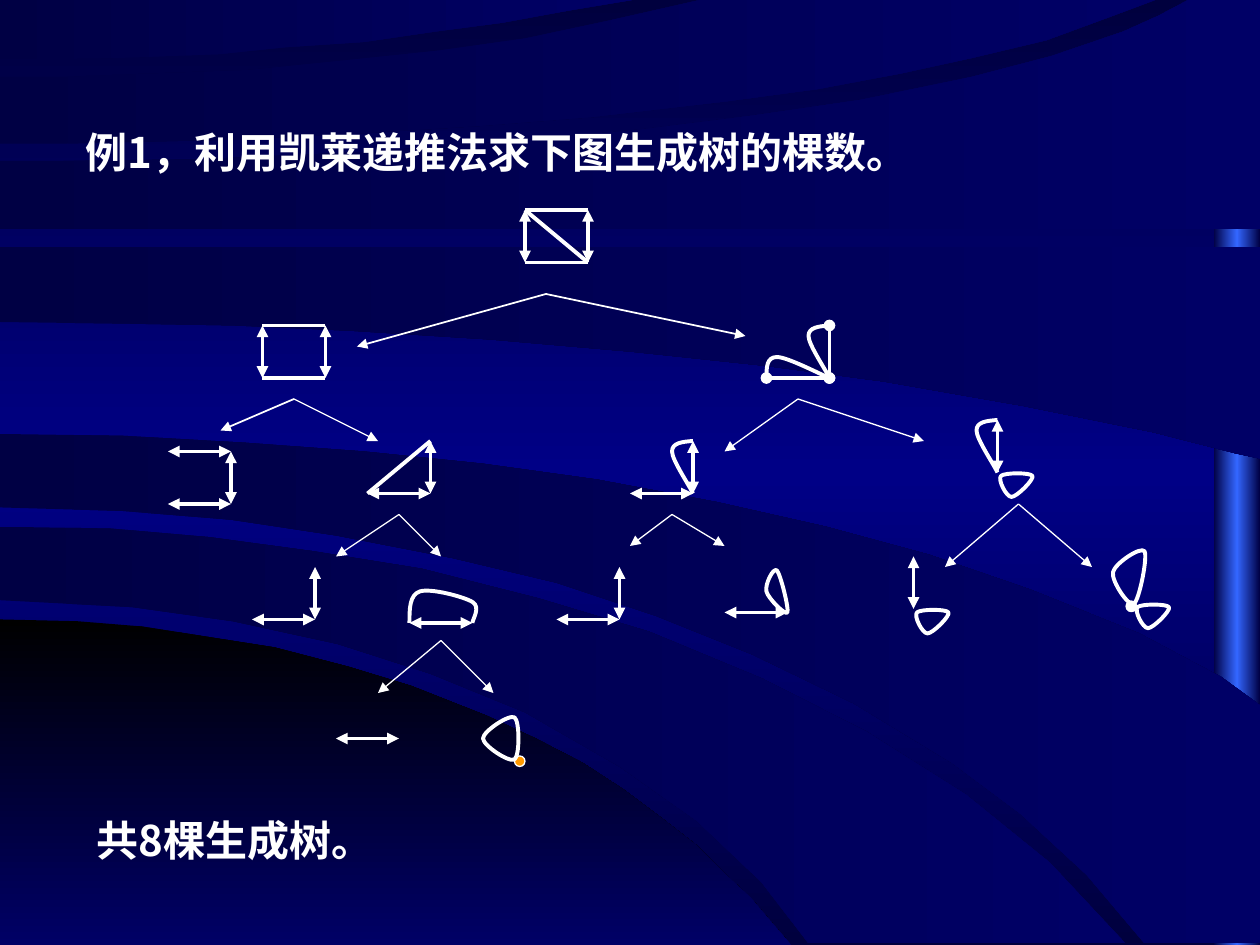
from copy import deepcopy
from dataclasses import dataclass

from lxml import etree
from pptx import Presentation, util as u
from pptx.dml.color import RGBColor
from pptx.enum import shapes, text
from pptx.oxml.ns import qn


@dataclass(frozen=True)
class Theme:
    ink: str = "FFFFFF"
    accent: str = "FF9900"
    night: tuple = ("00003E", "000086", "00003E")
    band: tuple = ("000044", "000066")
    ground: tuple = ("000000", "000066")
    stripe: tuple = ("000044", "3366FF", "000044")
    font: str = "Noto Sans CJK SC"
    body: float = 24
    edge: float = 2.25
    thin: float = 0.75


GROUND = [(0, 354), (44, 355), (81, 358), (119, 364), (157, 370), (199, 381), (235, 392),
          (278, 409), (306, 422), (333, 436), (356, 451), (380, 469), (398, 483), (415, 500),
          (429, 513), (440, 526), (452, 540), (0, 540)]
BANDS = [
    [(0, 301), (63, 302), (120, 307), (179, 315), (241, 325), (308, 342), (371, 361),
     (436, 388), (495, 418), (552, 454), (600, 493), (643, 539), (462, 539), (435, 504),
     (398, 469), (354, 438), (300, 407), (246, 385), (193, 368), (133, 355), (76, 347),
     (0, 343)],
    [(0, 248), (70, 249), (140, 253), (208, 258), (276, 265), (341, 274), (410, 287),
     (472, 301), (531, 317), (589, 337), (651, 362), (698, 387), (720, 403), (720, 539),
     (654, 539), (621, 500), (583, 465), (544, 436), (488, 402), (430, 374), (375, 352),
     (318, 333), (259, 319), (192, 306), (132, 297), (70, 292), (0, 290)],
    [(0, 141), (720, 141), (720, 262), (706, 259), (659, 247), (585, 232), (505, 218),
     (437, 209), (361, 201), (280, 194), (200, 189), (134, 186), (74, 185), (0, 184)],
    [(0, 92), (25, 92), (113, 91), (206, 87), (302, 80), (366, 74), (430, 66), (492, 57),
     (555, 44), (601, 32), (642, 18), (662, 9), (679, 0), (720, 0), (720, 131), (0, 131)],
    [(0, 44), (35, 44), (87, 42), (142, 40), (192, 35), (250, 29), (300, 22), (347, 12),
     (400, 0), (660, 0), (636, 9), (598, 23), (556, 33), (515, 42), (467, 51), (415, 58),
     (338, 67), (274, 72), (194, 77), (127, 80), (38, 82), (0, 82)],
    [(0, 0), (361, 0), (325, 6), (287, 13), (249, 18), (208, 24), (163, 27), (125, 31),
     (73, 33), (24, 34), (0, 34)],
]

CELL_W, CELL_H = 36, 30
SIDES = {
    "top": (0, 0, 1, 0), "bottom": (0, 1, 1, 1), "left": (0, 0, 0, 1),
    "right": (1, 0, 1, 1), "falling": (0, 0, 1, 1), "rising": (1, 0, 0, 1),
}
GRAPHS = [
    (300, 120, "left right", "top bottom falling", "triangle"),
    (150, 186, "left right", "top bottom", "triangle"),
    (438, 186, "bottom right", "", "oval"),
    (96, 258, "top bottom right", "", "triangle"),
    (210, 252, "bottom right", "rising", "triangle"),
    (360, 252, "bottom right", "", "triangle"),
    (570, 240, "left", "", "triangle"),
    (144, 324, "bottom right", "", "triangle"),
    (234, 326, "bottom", "", "triangle"),
    (318, 324, "bottom right", "", "triangle"),
    (414, 320, "bottom", "", "triangle"),
    (522, 318, "left", "", "triangle"),
    (192, 392, "bottom", "", "triangle"),
]
PARALLEL_EDGE = [(0, 0), (-6, 0.5), (-12, 1), (-12, 6), (-12, 11), (-2, 25.5), (0, 30)]
PARALLEL_AT = [(474, 186), (396, 252), (570, 240)]
LOOP = [(2, 2), (4, 0), (19, 0), (20, 2), (21, 4), (11, 14), (8, 14), (5, 14), (0, 4), (2, 2)]
LOOP_AT = [(570, 270), (522, 348), (648, 345)]
OPEN_ARCS = [
    [(438, 216), (438, 210), (438, 204), (444, 204), (450, 204), (469, 214), (474, 216)],
    [(234, 356), (234, 348), (234, 340), (240, 338), (246, 336), (265, 341), (270, 344),
     (275, 347), (270, 354), (270, 356)],
]
LARGE_LOOPS = [
    [(450, 350), (449, 352), (439, 342), (438, 338), (437, 334), (442, 324), (444, 326),
     (446, 328), (451, 348), (450, 350)],
    [(294, 434), (291, 436), (276, 426), (276, 422), (276, 418), (291, 408), (294, 410),
     (297, 412), (297, 432), (294, 434)],
    [(648, 345), (645, 347), (635, 332), (636, 327), (637, 322), (652, 312), (654, 315),
     (656, 318), (651, 343), (648, 345)],
]
BRANCHES = [
    (312, 168, [(204, 198, 1), (426, 192, 1)]),
    (168, 228, [(126, 246, 1), (216, 252, Theme.thin)]),
    (228, 294, [(192, 318, Theme.thin), (252, 318, Theme.thin)]),
    (252, 366, [(216, 396, Theme.thin), (282, 396, Theme.thin)]),
    (456, 228, [(414, 258, Theme.thin), (528, 252, Theme.thin)]),
    (384, 294, [(360, 312, Theme.thin), (414, 312, Theme.thin)]),
    (582, 288, [(540, 324, Theme.thin), (624, 324, Theme.thin)]),
]


def rgb(value):
    return RGBColor.from_string(value)


def write(frame, words, *, size, color, font, bold=False):
    run = frame.paragraphs[0].add_run()
    run.text = words
    run.font.size, run.font.bold, run.font.name = u.Pt(size), bold, font
    run.font.color.rgb = rgb(color)
    etree.SubElement(run.font._element, qn("a:ea")).set("typeface", font)


def blend(fill, element, colors, vertical):
    fill.gradient()
    fill.gradient_angle = 270 if vertical else 0
    first = next(element.iter(qn("a:gs")))
    for _ in colors[2:]:
        first.addnext(deepcopy(first))
    for i, (stop, color) in enumerate(zip(fill.gradient_stops, colors)):
        stop.position = i / (len(colors) - 1)
        stop.color.rgb = rgb(color)


class Board:
    """Draws the parts of the spanning-tree recursion on one slide."""

    def __init__(self, slide, theme):
        self.slide, self.theme = slide, theme
        blend(slide.background.fill, slide._element, theme.night, True)

    def outline(self, points, closed):
        start, *rest = [(u.Pt(x), u.Pt(y)) for x, y in points]
        builder = self.slide.shapes.build_freeform(*start)
        builder.add_line_segments(rest, close=closed)
        shape = builder.convert_to_shape()
        shape.shadow.inherit = False
        return shape

    def band(self, points, colors, vertical=False):
        shape = self.outline(points, True)
        blend(shape.fill, shape._element, colors, vertical)
        shape.line.fill.background()

    def stripe(self, x, y, w, h):
        shape = self.slide.shapes.add_shape(
            shapes.MSO_SHAPE.RECTANGLE, u.Pt(x), u.Pt(y), u.Pt(w), u.Pt(h))
        shape.shadow.inherit = False
        blend(shape.fill, shape._element, self.theme.stripe, False)
        shape.line.fill.background()

    def curve(self, points, closed=False):
        shape = self.outline(points, closed)
        shape.fill.background()
        self.stroke(shape.line, self.theme.edge)
        steps = list(shape._element.iter(qn("a:lnTo")))
        for i in range(0, len(steps), 3):
            bezier = etree.Element(qn("a:cubicBezTo"))
            steps[i].addprevious(bezier)
            for step in steps[i:i + 3]:
                bezier.append(step[0])
                step.getparent().remove(step)

    def stroke(self, line, width):
        line.color.rgb = rgb(self.theme.ink)
        line.width = u.Pt(width)

    def line(self, x1, y1, x2, y2, width, head=None, tail=None):
        link = self.slide.shapes.add_connector(
            shapes.MSO_CONNECTOR.STRAIGHT, u.Pt(x1), u.Pt(y1), u.Pt(x2), u.Pt(y2))
        self.stroke(link.line, width)
        properties = link._element.spPr
        for tag, kind in (("a:headEnd", head), ("a:tailEnd", tail)):
            if kind:
                etree.SubElement(properties.get_or_add_ln(), qn(tag)).set("type", kind)
        etree.SubElement(properties, qn("a:effectLst"))

    def graph(self, left, top, marked, plain, end):
        for names, mark in ((marked, end), (plain, None)):
            for name in names.split():
                x1, y1, x2, y2 = SIDES[name]
                self.line(left + x1 * CELL_W, top + y1 * CELL_H, left + x2 * CELL_W,
                          top + y2 * CELL_H, self.theme.edge, mark, mark)

    def vertex(self, x, y, color):
        dot = self.slide.shapes.add_shape(
            shapes.MSO_SHAPE.OVAL, u.Pt(x), u.Pt(y), u.Pt(6), u.Pt(6))
        dot.shadow.inherit = False
        dot.fill.solid()
        dot.fill.fore_color.rgb = rgb(color)
        self.stroke(dot.line, self.theme.thin)

    def sentence(self, words, x, y):
        frame = self.slide.shapes.add_textbox(u.Pt(x), u.Pt(y), u.Pt(582), u.Pt(36)).text_frame
        frame.word_wrap = True
        frame.auto_size = text.MSO_AUTO_SIZE.SHAPE_TO_FIT_TEXT
        frame.vertical_anchor = text.MSO_ANCHOR.MIDDLE
        write(frame, words, size=self.theme.body, color=self.theme.ink,
              font=self.theme.font, bold=True)


def main():
    deck = Presentation()
    deck.slide_width, deck.slide_height = u.Pt(720), u.Pt(540)
    theme = Theme()
    board = Board(deck.slides.add_slide(deck.slide_layouts[6]), theme)
    board.stripe(693.5, 0, 26.5, 540)
    board.band(GROUND, theme.ground, vertical=True)
    for points in BANDS:
        board.band(points, theme.band)
    board.sentence("例1，利用凯莱递推法求下图生成树的棵数。", 42, 68.5)
    for graph in GRAPHS:
        board.graph(*graph)
    board.vertex(294, 432, theme.accent)
    for pattern, places, closed in ((PARALLEL_EDGE, PARALLEL_AT, False), (LOOP, LOOP_AT, True)):
        for left, top in places:
            board.curve([(left + x, top + y) for x, y in pattern], closed)
    for arc in OPEN_ARCS:
        board.curve(arc)
    for loop in LARGE_LOOPS:
        board.curve(loop, closed=True)
    board.vertex(643.5, 343.5, theme.ink)
    for x, y, children in BRANCHES:
        for child_x, child_y, width in children:
            board.line(x, y, child_x, child_y, width, tail="triangle")
    board.sentence("共8棵生成树。", 48, 462)
    deck.save("out.pptx")


if __name__ == "__main__":
    main()
